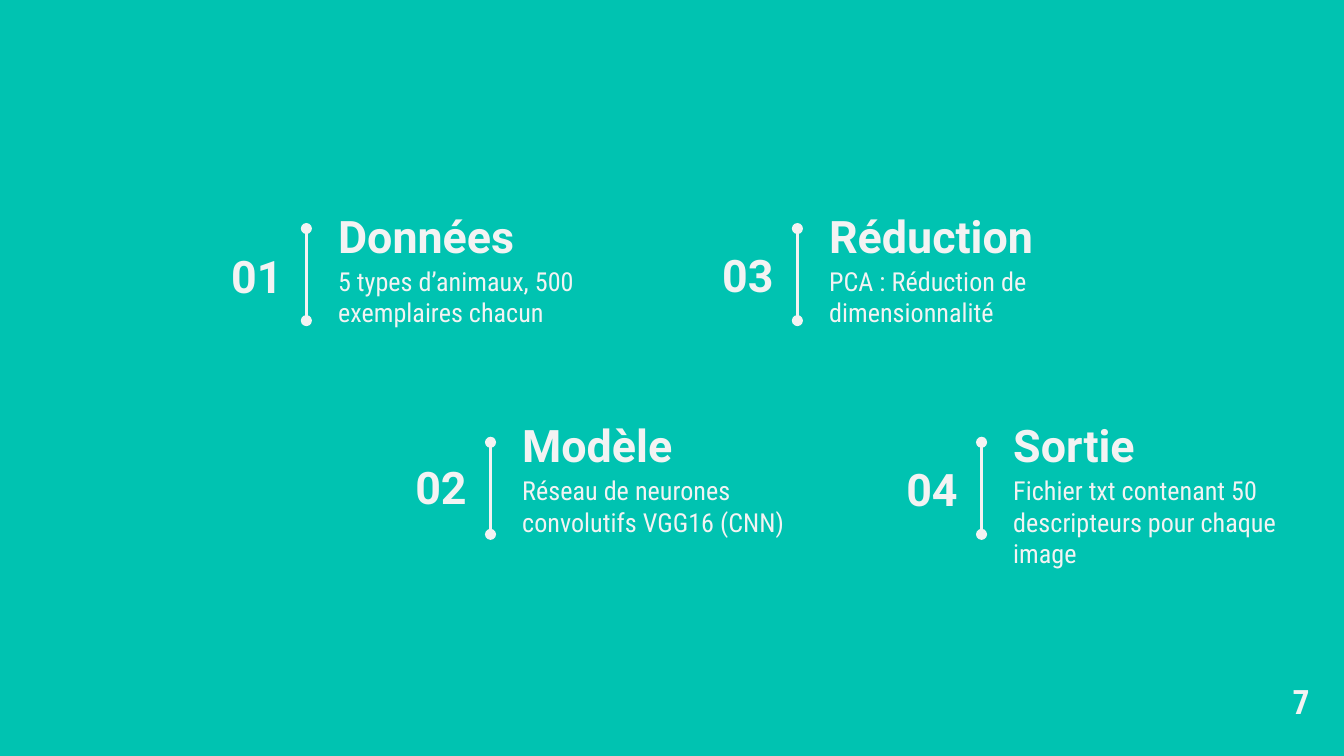
from dataclasses import dataclass

from pptx import Presentation
from pptx import util as u
from pptx.dml.color import RGBColor
from pptx.enum import shapes, text
from pptx.oxml.ns import qn
from lxml import etree

TEAL = RGBColor(0x00, 0xC3, 0xB1)
LIGHT = RGBColor(0xF3, 0xF3, 0xF3)
HEADING_FONT = "Roboto"
BODY_FONT = "Roboto Condensed"

# Grid in centimetres: two columns, the lower row shifted to the right
FIRST_LINE_X = 5.79
COLUMN_STEP = 9.28
ROW_INDENT = 3.48
TITLE_TOPS = (3.86, 7.82)
LINE_TOPS = (4.32, 8.36)
LINE_LENGTH = 1.74
TITLE_HEIGHT = 1.17
TEXT_WIDTH = 6.5


@dataclass
class Step:
    title: str
    description: str
    number_top: float
    title_width: float = TEXT_WIDTH


@dataclass
class Style:
    font: str
    size: float
    bold: bool = False
    anchor: text.MSO_ANCHOR = text.MSO_ANCHOR.MIDDLE
    align: text.PP_ALIGN = text.PP_ALIGN.LEFT
    space_after: float = 0
    vertical_margin: float = 0.25


TITLE = Style(HEADING_FONT, 24, bold=True)
NUMBER = Style(HEADING_FONT, 24, bold=True, align=text.PP_ALIGN.RIGHT)
DESCRIPTION = Style(BODY_FONT, 14, anchor=text.MSO_ANCHOR.TOP, space_after=16)
PAGE_NUMBER = Style(BODY_FONT, 18, bold=True, anchor=text.MSO_ANCHOR.TOP,
                    vertical_margin=0.13)

STEPS = (
    Step("Données", "5 types d’animaux, 500 exemplaires chacun", 4.62),
    Step("Modèle", "Réseau de neurones convolutifs VGG16 (CNN)", 8.61, 7.54),
    Step("Réduction", "PCA : Réduction de dimensionnalité", 4.6),
    Step("Sortie", "Fichier txt contenant 50 descripteurs pour chaque image", 8.66),
)


def add_text(slide, content: str, left: float, top: float, width: float,
             height: float, style: Style) -> None:
    box = slide.shapes.add_textbox(u.Cm(left), u.Cm(top), u.Cm(width), u.Cm(height))
    frame = box.text_frame
    frame.word_wrap = True
    frame.vertical_anchor = style.anchor
    frame.margin_left = frame.margin_right = u.Cm(0.25)
    frame.margin_top = frame.margin_bottom = u.Cm(style.vertical_margin)
    paragraph = frame.paragraphs[0]
    paragraph.text = content
    paragraph.alignment = style.align
    paragraph.space_after = u.Pt(style.space_after)
    paragraph.font.name = style.font
    paragraph.font.size = u.Pt(style.size)
    paragraph.font.bold = style.bold
    paragraph.font.color.rgb = LIGHT


def add_separator(slide, x: float, top: float) -> None:
    connector = slide.shapes.add_connector(
        shapes.MSO_CONNECTOR.STRAIGHT,
        u.Cm(x), u.Cm(top), u.Cm(x), u.Cm(top + LINE_LENGTH))
    connector.line.color.rgb = LIGHT
    connector.line.width = u.Pt(1.5)
    # Round ends, no shadow
    properties = connector.element.spPr
    outline = properties.find(qn("a:ln"))
    for end in ("a:headEnd", "a:tailEnd"):
        etree.SubElement(outline, qn(end), type="oval")
    etree.SubElement(properties, qn("a:effectLst"))


def add_step(slide, index: int, step: Step) -> None:
    column, row = divmod(index, 2)
    line_x = FIRST_LINE_X + column * COLUMN_STEP + row * ROW_INDENT
    text_left = line_x + 0.35
    title_top = TITLE_TOPS[row]
    add_text(slide, step.title, text_left, title_top,
             step.title_width, TITLE_HEIGHT, TITLE)
    add_text(slide, step.description, text_left, title_top + 0.9,
             TEXT_WIDTH, 1.8, DESCRIPTION)
    add_text(slide, f"{index + 1:02d}", line_x - 1.88, step.number_top,
             1.68, TITLE_HEIGHT, NUMBER)
    add_separator(slide, line_x, LINE_TOPS[row])


def main() -> None:
    presentation = Presentation()
    presentation.slide_width = u.Cm(25.4)
    presentation.slide_height = u.Cm(14.29)
    slide = presentation.slides.add_slide(presentation.slide_layouts[6])

    # Background
    slide.background.fill.solid()
    slide.background.fill.fore_color.rgb = TEAL

    # Numbered steps
    for index, step in enumerate(STEPS):
        add_step(slide, index, step)

    # Page number
    add_text(slide, "7", 24.18, 12.75, 0.84, 1.02, PAGE_NUMBER)

    presentation.save("out.pptx")


if __name__ == "__main__":
    main()
